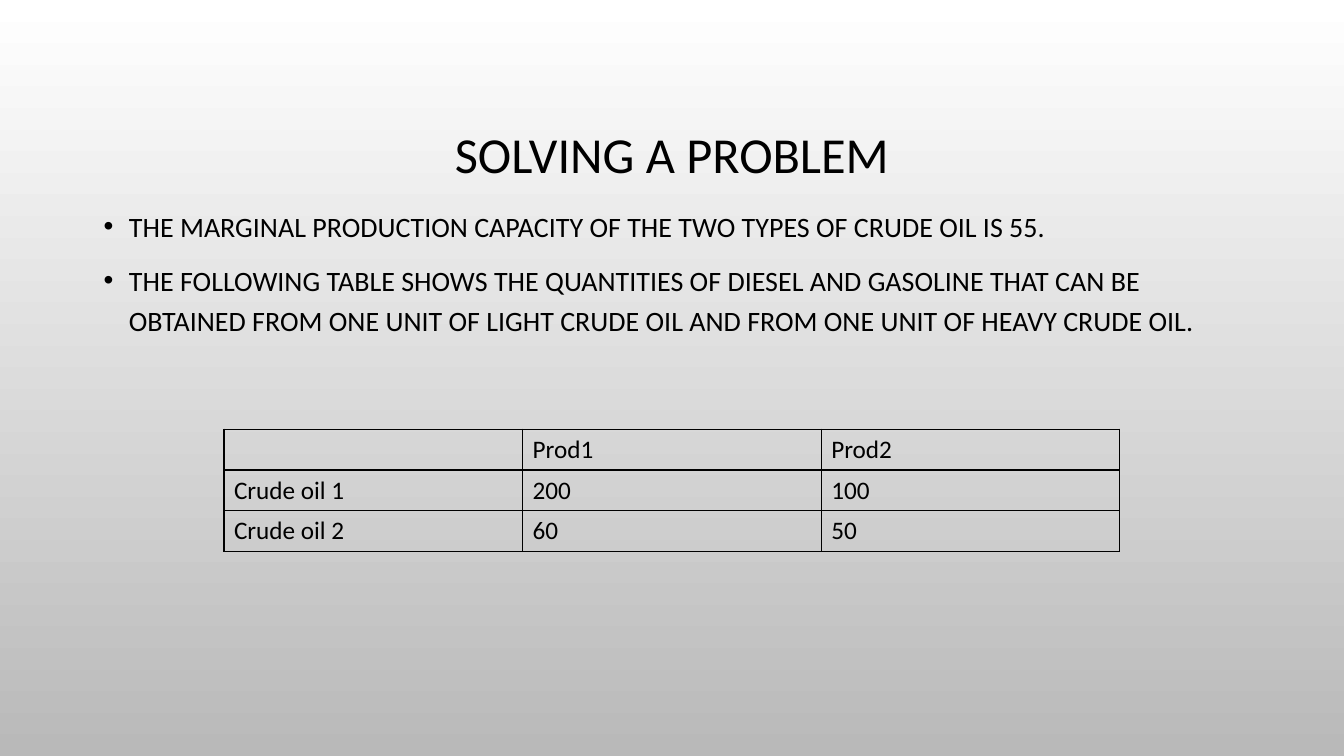
from dataclasses import dataclass

from lxml.etree import SubElement
from pptx import Presentation
from pptx.dml.color import RGBColor as Color
from pptx.enum.text import MSO_ANCHOR as Anchor, PP_ALIGN as Align
from pptx.oxml.ns import qn
from pptx.slide import Slide
from pptx.table import _Cell as Cell
from pptx.text.text import _Paragraph as Paragraph
from pptx.util import Pt


@dataclass(frozen=True)
class Theme:
    font: str = "Calibri"
    ink: str = "000000"
    page_top: str = "FFFFFF"
    page_bottom: str = "B9B9B9"
    title_size: float = 36
    body_size: float = 20
    table_size: float = 18
    border: float = 1


@dataclass(frozen=True)
class TextBlock:
    left: float
    top: float
    width: float
    height: float
    lines: tuple[str, ...]
    size: float
    line_spacing: float
    anchor: Anchor = Anchor.TOP
    align: Align = Align.LEFT
    space_before: float = 0
    bullet_indent: float = 0


@dataclass(frozen=True)
class Grid:
    left: float
    top: float
    column_width: float
    row_height: float
    rows: tuple[tuple[str, ...], ...]


THEME = Theme()

TITLE = TextBlock(
    72, 49, 816, 126, ("SOLVING A PROBLEM",), THEME.title_size, 0.9,
    anchor=Anchor.MIDDLE, align=Align.CENTER,
)
BODY = TextBlock(
    67, 141, 816, 353,
    (
        "THE MARGINAL PRODUCTION CAPACITY OF THE TWO TYPES OF CRUDE OIL IS 55.",
        "THE FOLLOWING TABLE SHOWS THE QUANTITIES OF DIESEL AND GASOLINE THAT CAN BE "
        "OBTAINED FROM ONE UNIT OF LIGHT CRUDE OIL AND FROM ONE UNIT OF HEAVY CRUDE OIL.",
    ),
    THEME.body_size, 1.2, space_before=10, bullet_indent=18,
)
YIELDS = Grid(
    160, 306.5, 213.33, 29.2,
    (
        ("", "Prod1", "Prod2"),
        ("Crude oil 1", "200", "100"),
        ("Crude oil 2", "60", "50"),
    ),
)


def paint_background(page: Slide) -> None:
    fill = page.background.fill
    fill.gradient()
    fill.gradient_angle = 270
    for stop, shade in zip(fill.gradient_stops, (THEME.page_top, THEME.page_bottom)):
        stop.color.rgb = Color.from_string(shade)


def add_span(para: Paragraph, text: str, size: float) -> None:
    span = para.add_run()
    span.text = text
    span.font.name = THEME.font
    span.font.size = Pt(size)
    span.font.color.rgb = Color.from_string(THEME.ink)


def add_bullet(para: Paragraph, indent: float) -> None:
    properties = para._p.get_or_add_pPr()
    properties.set("marL", str(Pt(indent)))
    properties.set("indent", str(-Pt(indent)))
    colour = SubElement(properties, qn("a:buClr"))
    SubElement(colour, qn("a:srgbClr"), val=THEME.ink)
    SubElement(properties, qn("a:buFont"), typeface="Arial")
    SubElement(properties, qn("a:buChar"), char="•")


def add_text(page: Slide, block: TextBlock) -> None:
    box = page.shapes.add_textbox(
        Pt(block.left), Pt(block.top), Pt(block.width), Pt(block.height)
    )
    frame = box.text_frame
    frame.word_wrap = True
    frame.vertical_anchor = block.anchor
    for index, line in enumerate(block.lines):
        para = frame.add_paragraph() if index else frame.paragraphs[0]
        if block.bullet_indent:
            add_bullet(para, block.bullet_indent)
        para.alignment = block.align
        para.line_spacing = block.line_spacing
        if index:
            para.space_before = Pt(block.space_before)
        add_span(para, line, block.size)


def add_borders(cell: Cell) -> None:
    properties = cell._tc.get_or_add_tcPr()
    for side in ("lnL", "lnR", "lnT", "lnB"):
        edge = SubElement(properties, qn(f"a:{side}"), w=str(Pt(THEME.border)))
        fill = SubElement(edge, qn("a:solidFill"))
        SubElement(fill, qn("a:srgbClr"), val=THEME.ink)


def add_grid(page: Slide, grid: Grid) -> None:
    row_count, column_count = len(grid.rows), len(grid.rows[0])
    table = page.shapes.add_table(
        row_count, column_count, Pt(grid.left), Pt(grid.top),
        Pt(grid.column_width * column_count), Pt(grid.row_height * row_count),
    ).table
    table.first_row = False
    table.horz_banding = False
    for column in table.columns:
        column.width = Pt(grid.column_width)
    for row, values in zip(table.rows, grid.rows):
        row.height = Pt(grid.row_height)
        for cell, value in zip(row.cells, values):
            add_borders(cell)
            cell.fill.background()
            if value:
                add_span(cell.text_frame.paragraphs[0], value, THEME.table_size)


def main() -> None:
    deck = Presentation()
    deck.slide_width, deck.slide_height = Pt(960), Pt(540)
    page = deck.slides.add_slide(deck.slide_layouts[6])
    paint_background(page)

    # Heading and bullet points
    for block in (TITLE, BODY):
        add_text(page, block)

    # Product quantities per unit of crude oil
    add_grid(page, YIELDS)
    deck.save("out.pptx")


if __name__ == "__main__":
    main()
